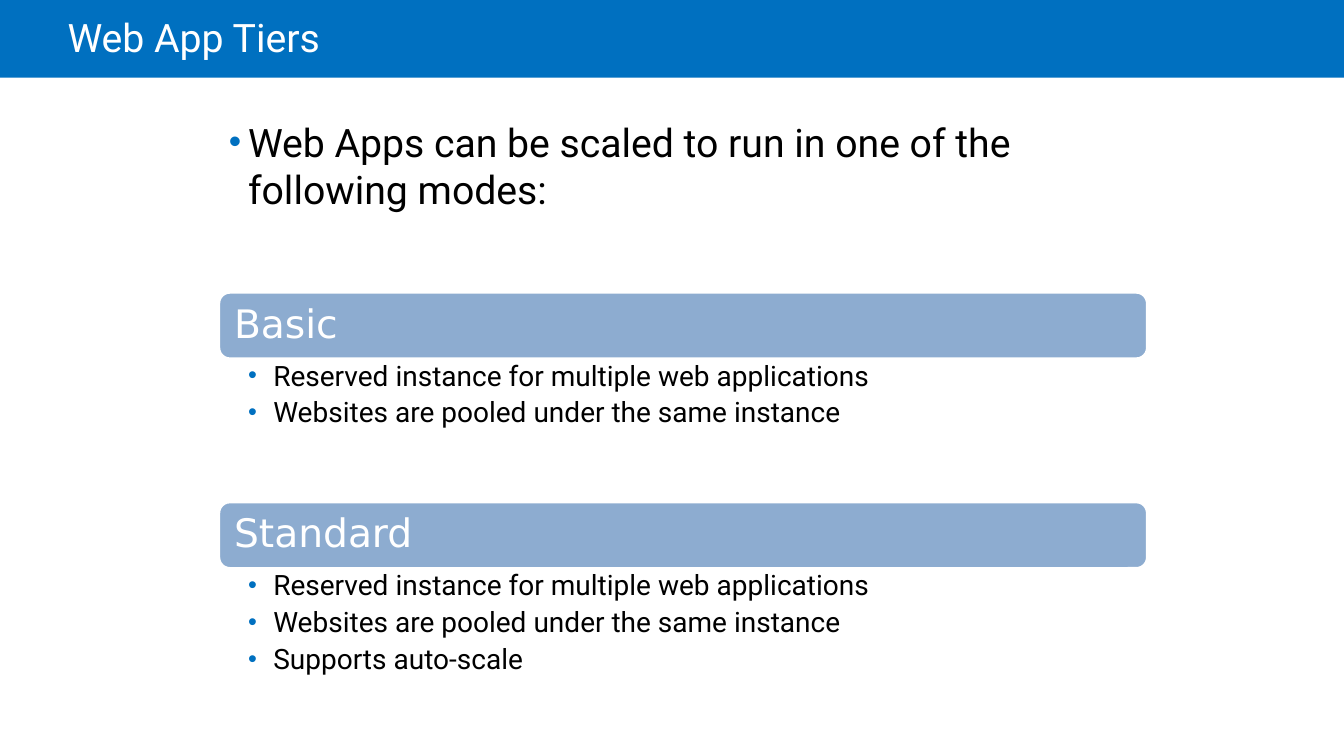
from lxml.etree import SubElement
from pptx import Presentation
from pptx.dml.color import RGBColor
from pptx.enum.shapes import MSO_SHAPE as Shape
from pptx.enum.text import MSO_ANCHOR as Anchor, MSO_AUTO_SIZE as AutoSize, PP_ALIGN as Align
from pptx.oxml.ns import qn
from pptx.util import Pt

PX = 9144
BLUE, BAR_BLUE, WHITE, BLACK = "0070C0", "8DACD0", "FFFFFF", "000000"
BAR_HEIGHT = 66
TIERS = [
    ("Basic", 290, 142, ["Reserved instance for multiple web applications",
                         "Websites are pooled under the same instance"]),
    ("Standard", 498, 109, ["Reserved instance for multiple web applications",
                            "Websites are pooled under the same instance",
                            "Supports auto-scale"]),
]


def px(*lengths):
    """Turn pixel lengths into EMU."""
    return [length * PX for length in lengths]


def paint(color_format, color):
    """Set a fill or font colour from a hex string."""
    color_format.rgb = RGBColor.from_string(color)


def place(shape, box):
    """Move a placeholder into a pixel box."""
    shape.left, shape.top, shape.width, shape.height = px(*box)


def add_bullet(paragraph, indent):
    """Give a paragraph a hanging blue bullet."""
    props = paragraph._p.get_or_add_pPr()
    props.set("marL", str(indent * PX))
    props.set("indent", str(-indent * PX))
    color = SubElement(props, qn("a:buClr"))
    SubElement(color, qn("a:srgbClr"), val=BLUE)
    SubElement(props, qn("a:buSzPct"), val="90000")
    SubElement(props, qn("a:buFont"), typeface="Arial")
    SubElement(props, qn("a:buChar"), char="•")


def write(shape, lines, size=28, font="Roboto", color=BLACK, insets=(10, 5, 10, 5),
          anchor=Anchor.TOP, spacing=1.0, after=0, indent=None):
    """Write lines of text into a shape with one format."""
    frame = shape.text_frame
    frame.word_wrap = True
    frame.auto_size = AutoSize.NONE
    frame.vertical_anchor = anchor
    (frame.margin_left, frame.margin_top,
     frame.margin_right, frame.margin_bottom) = px(*insets)
    frame.text = "\n".join(lines)
    for paragraph in frame.paragraphs:
        if indent:
            add_bullet(paragraph, indent)
        paragraph.alignment = Align.LEFT
        paragraph.line_spacing = spacing
        paragraph.space_before = Pt(0)
        paragraph.space_after = Pt(after)
        paragraph.font.size = Pt(size)
        paragraph.font.name = font
        paint(paragraph.font.color, color)


def add_block(shapes, kind, box, color):
    """Add a flat filled shape."""
    block = shapes.add_shape(kind, *px(*box))
    block.shadow.inherit = False
    block.fill.solid()
    paint(block.fill.fore_color, color)
    block.line.fill.background()
    return block


def add_header(slide, box):
    """Draw the header band and set the title over it."""
    left, top, width, height = box
    band = add_block(slide.shapes, Shape.RECTANGLE, box, BLUE)
    slide.shapes._spTree.insert(2, band._element)
    title = slide.shapes.title
    place(title, (left + 67, top, 1134, height + 4))
    write(title, ["Web App Tiers"], color=WHITE, insets=(0, 5, 10, 5),
          anchor=Anchor.MIDDLE, spacing=0.85)


def add_lead(slide, box):
    """Set the leading bullet in the body placeholder."""
    lead = slide.placeholders[1]
    place(lead, box)
    write(lead, ["Web Apps can be scaled to run in one of the following modes:"], indent=19)


def add_tier(slide, box, name, features):
    """Add a tier's name bar with its feature list below."""
    left, top, width, height = box
    bar = add_block(slide.shapes, Shape.ROUNDED_RECTANGLE, (left, top, width, BAR_HEIGHT), BAR_BLUE)
    bar.line.width = Pt(2)
    bar.line.fill.solid()
    paint(bar.line.color, WHITE)
    write(bar, [name], font="DejaVu Sans", color=WHITE, insets=(12, 12, 12, 12),
          anchor=Anchor.MIDDLE, spacing=0.9)
    feature_list = slide.shapes.add_textbox(
        *px(left, top + BAR_HEIGHT, width, height - BAR_HEIGHT))
    write(feature_list, features, size=20, insets=(29, 3, 16, 3),
          spacing=0.9, after=4.7, indent=25)


def main():
    """Build and save the slide."""
    deck = Presentation()
    deck.slide_width, deck.slide_height = px(1333, 750)
    slide = deck.slides.add_slide(deck.slide_layouts[1])
    add_header(slide, (0, 0, 1333, 77))
    add_lead(slide, (217, 112, 888, 563))
    for name, top, list_height, features in TIERS:
        add_tier(slide, (217, top, 921, BAR_HEIGHT + list_height), name, features)
    deck.save("out.pptx")


if __name__ == "__main__":
    main()
